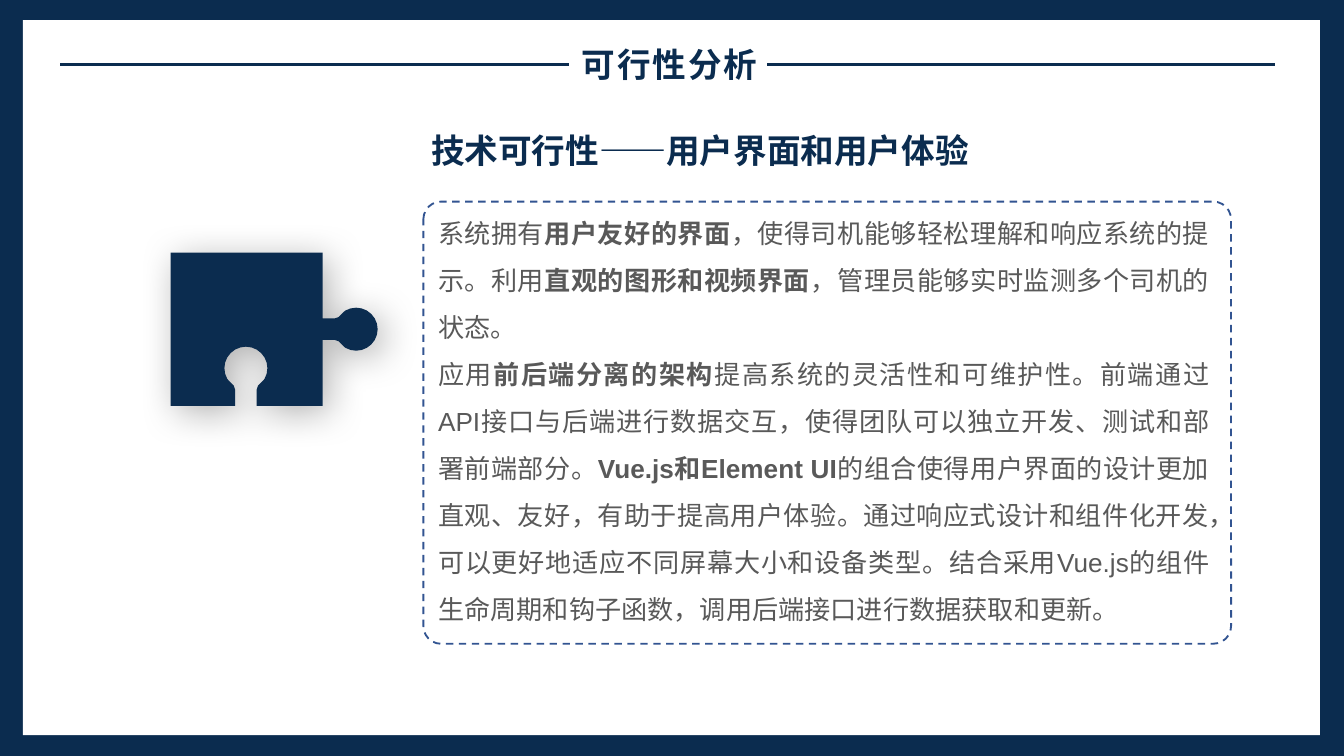
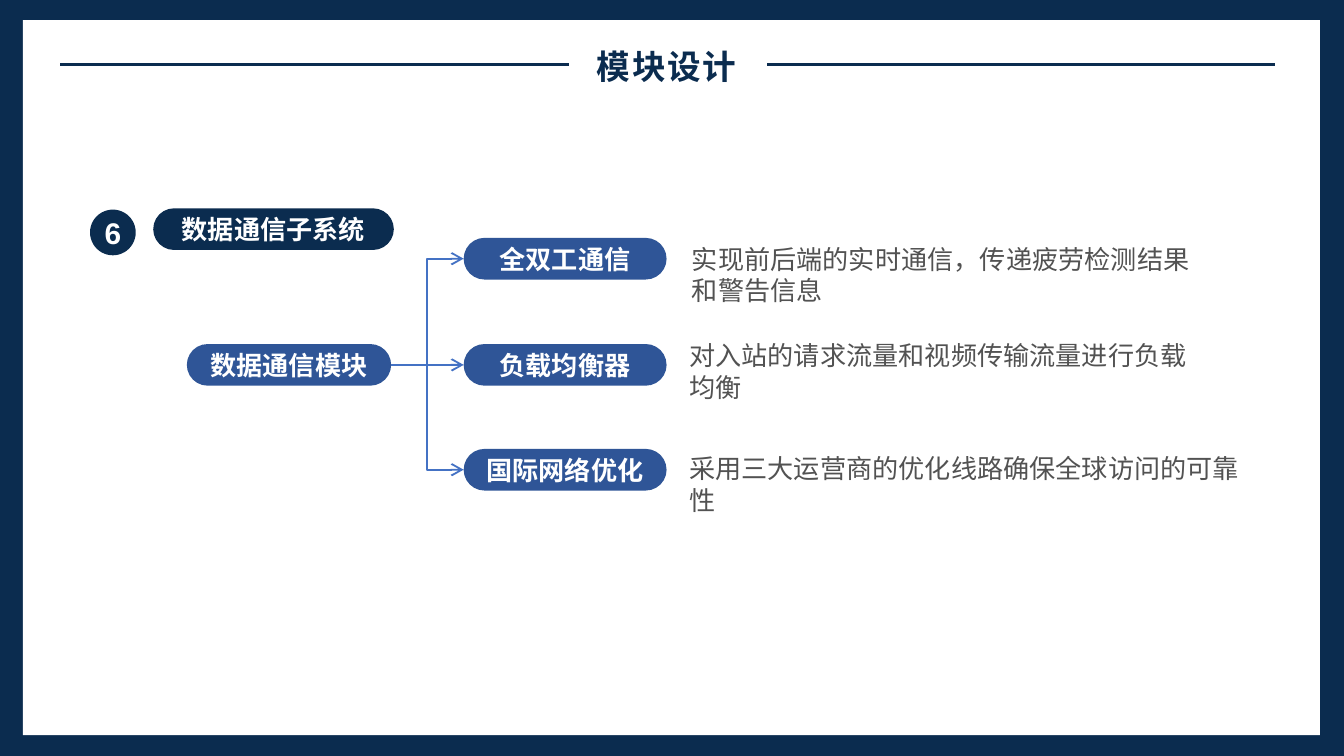
"""Build two slides: technical feasibility and the data communication module."""
from math import cos, pi, sin

from lxml import etree
from pptx import Presentation
from pptx.dml.color import RGBColor
from pptx.enum.dml import MSO_LINE
from pptx.enum.lang import MSO_LANGUAGE_ID
from pptx.enum.shapes import MSO_CONNECTOR, MSO_SHAPE
from pptx.enum.text import MSO_ANCHOR, MSO_AUTO_SIZE, PP_ALIGN
from pptx.oxml.ns import qn
from pptx.util import Inches, Pt

NAVY, BLUE, ARROW_BLUE, DASH_BLUE = "0B2C4F", "2F5597", "4472C4", "325491"
WHITE, BODY_GRAY, NOTE_GRAY = "FFFFFF", "595959", "525252"
LATIN_FONT, CHINESE_FONT = "Arial", "Noto Sans CJK SC"
RECTANGLE, ROUNDED, OVAL = MSO_SHAPE.RECTANGLE, MSO_SHAPE.ROUNDED_RECTANGLE, MSO_SHAPE.OVAL
STRAIGHT, ELBOW = MSO_CONNECTOR.STRAIGHT, MSO_CONNECTOR.ELBOW
LEFT, CENTER, JUSTIFY = PP_ALIGN.LEFT, PP_ALIGN.CENTER, PP_ALIGN.JUSTIFY
TOP, MIDDLE = MSO_ANCHOR.TOP, MSO_ANCHOR.MIDDLE
NO_FIT, FIT_SHAPE = MSO_AUTO_SIZE.NONE, MSO_AUTO_SIZE.SHAPE_TO_FIT_TEXT
DASH, CHINESE = MSO_LINE.DASH, MSO_LANGUAGE_ID.SIMPLIFIED_CHINESE
CONTENT_LAYOUT, TITLE_LAYOUT = 1, 5
LEFT_SITE, RIGHT_SITE = 1, 3

SLIDE_WIDTH = 10
SLIDE_HEIGHT = SLIDE_WIDTH * 9 / 16
FRAME = [((-0.01, 0, 10.01, SLIDE_HEIGHT), NAVY), ((0.17, 0.15, 9.65, 5.32), WHITE)]
TITLE_RULES = [(0.45, 4.23), (5.71, 9.49)]
RULE_TOP = 0.48

FEASIBILITY = {
    "title": ("可行性分析", (4.23, 0.28, 1.52, 0.4)),
    "heading": "技术可行性——用户界面和用户体验",
    "body": [
        [
            ("系统拥有", False),
            ("用户友好的界面", True),
            ("，使得司机能够轻松理解和响应系统的提示。利用", False),
            ("直观的图形和视频界面", True),
            ("，管理员能够实时监测多个司机的状态。", False),
        ],
        [
            ("应用", False),
            ("前后端分离的架构", True),
            ("提高系统的灵活性和可维护性。前端通过API接口与后端进行数据交互，"
             "使得团队可以独立开发、测试和部署前端部分。", False),
            ("Vue.js和Element UI", True),
            ("的组合使得用户界面的设计更加直观、友好，有助于提高用户体验。"
             "通过响应式设计和组件化开发，可以更好地适应不同屏幕大小和设备类型。"
             "结合采用Vue.js的组件生命周期和钩子函数，调用后端接口进行数据获取和更新。", False),
        ],
    ],
}
MODULES = {
    "title": ("模块设计", (4.34, 0.29, 1.25, 0.4)),
    "number": "6",
    "system": "数据通信子系统",
    "module": "数据通信模块",
    "branches": [
        ("全双工通信", 1.77, "实现前后端的实时通信，传递疲劳检测结果和警告信息", (5.05, 1.76, 3.92, 0.57)),
        ("负载均衡器", 2.56, "对入站的请求流量和视频传输流量进行负载均衡", (5.03, 2.48, 3.92, 0.57)),
        ("国际网络优化", 3.34, "采用三大运营商的优化线路确保全球访问的可靠性", (5.03, 3.32, 4.32, 0.57)),
    ],
}


def rgb(value):
    """Turn a hex string into a colour."""
    return RGBColor.from_string(value)


def inches(values):
    """Turn a sequence of numbers into lengths."""
    return [Inches(value) for value in values]


def place(shape, box):
    """Move and size a shape."""
    shape.left, shape.top, shape.width, shape.height = inches(box)


def write_text(shape, paragraphs, size=14, color=NAVY, bold=False, font=LATIN_FONT, align=LEFT,
               anchor=TOP, wrap=True, fit=NO_FIT, line_spacing=None, tracking=None, margin=None):
    """Fill a shape with a string or with paragraphs made of (text, bold) runs."""
    if isinstance(paragraphs, str):
        paragraphs = [[(paragraphs, bold)]]
    frame = shape.text_frame
    frame.word_wrap, frame.auto_size, frame.vertical_anchor = wrap, fit, anchor
    if margin is not None:
        frame.margin_left = frame.margin_right = frame.margin_top = frame.margin_bottom = Inches(margin)
    for index, runs in enumerate(paragraphs):
        paragraph = frame.add_paragraph() if index else frame.paragraphs[0]
        paragraph.alignment = align
        paragraph.space_before = Pt(0)
        if line_spacing:
            paragraph.line_spacing = line_spacing
        for text, is_bold in runs:
            run = paragraph.add_run()
            run.text = text
            run.font.name, run.font.size, run.font.bold = font, Pt(size), is_bold
            run.font.color.rgb = rgb(color)
            run.font.language_id = CHINESE
            if tracking:
                run.font._element.set("spc", str(tracking * 100))


def add_box(slide, kind, box, fill=None, text=None, radius=None, **text_format):
    """Add a preset shape without outline or shadow."""
    shape = slide.shapes.add_shape(kind, *inches(box))
    shape.shadow.inherit = False
    shape.line.fill.background()
    if fill:
        shape.fill.solid()
        shape.fill.fore_color.rgb = rgb(fill)
    else:
        shape.fill.background()
    if radius is not None:
        shape.adjustments[0] = radius
    if text:
        write_text(shape, text, color=WHITE, bold=True, align=CENTER, anchor=MIDDLE, **text_format)
    return shape


def add_text(slide, box, text, **text_format):
    """Add a text box."""
    shape = slide.shapes.add_textbox(*inches(box))
    write_text(shape, text, **text_format)


def add_line(slide, kind, ends, color, width, arrow=False):
    """Add a connector without shadow, with an optional arrowhead at its end."""
    connector = slide.shapes.add_connector(kind, *inches(ends))
    connector.line.color.rgb = rgb(color)
    connector.line.width = Pt(width)
    if arrow:
        etree.SubElement(connector.line._get_or_add_ln(), qn("a:tailEnd"), type="arrow")
    etree.SubElement(connector._element.spPr, qn("a:effectLst"))
    return connector


def add_frame(presentation, slide):
    """Draw the navy frame and hand it to the slide master."""
    master_tree = presentation.slide_master.shapes._spTree
    for index, (box, color) in enumerate(FRAME):
        master_tree.insert(2 + index, add_box(slide, RECTANGLE, box, color)._element)


def add_title(slide, title):
    """Fill the title placeholder and draw the rule on either side."""
    text, box = title
    place(slide.shapes.title, box)
    write_text(slide.shapes.title, text, size=18, bold=True, wrap=False, fit=FIT_SHAPE, tracking=1)
    for start, end in TITLE_RULES:
        add_line(slide, STRAIGHT, (start, RULE_TOP, end, RULE_TOP), NAVY, 2)


def knob_outline(stem):
    """Return (depth, across) points of a puzzle knob on a stem."""
    neck = [(0, 0.08), (stem, 0.08), (stem + 0.03, 0.09), (stem + 0.07, 0.13)]
    angles = [pi * step / 12 for step in range(-8, 9)]
    head = [(stem + 0.16 + 0.16 * cos(angle), 0.16 * sin(angle)) for angle in angles]
    return [(depth, -across) for depth, across in neck] + head + neck[::-1]


def add_puzzle_piece(slide):
    """Draw a square piece with a tab on the right and a notch below."""
    left, top, right, bottom = 1.27, 1.88, 2.4, 3.02
    tab = [(right + depth, 2.45 + across) for depth, across in knob_outline(0.09)]
    notch = [(1.83 - across, bottom - depth) for depth, across in knob_outline(0.12)]
    points = [(left, top), (right, top), *tab, (right, bottom), *notch, (left, bottom)]
    start, *others = [inches(point) for point in points]
    builder = slide.shapes.build_freeform(*start)
    builder.add_line_segments(others)
    piece = builder.convert_to_shape()
    piece.fill.solid()
    piece.fill.fore_color.rgb = rgb(NAVY)
    piece.line.fill.background()
    effects = etree.SubElement(piece._element.spPr, qn("a:effectLst"))
    shadow = etree.SubElement(effects, qn("a:outerShdw"), blurRad=str(Pt(20)), dist=str(Pt(5)),
                              dir=str(45 * 60000), algn="tl", rotWithShape="0")
    black = etree.SubElement(shadow, qn("a:srgbClr"), val="000000")
    etree.SubElement(black, qn("a:alpha"), val="30000")


def build_feasibility(slide):
    """Lay out the feasibility slide."""
    add_title(slide, FEASIBILITY["title"])
    add_text(slide, (3.11, 0.92, 4.3, 0.41), FEASIBILITY["heading"], size=18, bold=True)
    add_puzzle_piece(slide)
    border = add_box(slide, ROUNDED, (3.15, 1.5, 6.01, 3.29), radius=0.04)
    border.line.color.rgb = rgb(DASH_BLUE)
    border.line.width = Pt(1)
    border.line.dash_style = DASH
    body = slide.placeholders[1]
    place(body, (3.26, 1.5, 5.74, 3.25))
    write_text(body, FEASIBILITY["body"], color=BODY_GRAY, align=JUSTIFY, line_spacing=1.5, margin=0)
    for paragraph in body.text_frame.paragraphs:
        properties = paragraph._p.get_or_add_pPr()
        properties.set("marL", "0")
        properties.set("indent", "0")
        etree.SubElement(properties, qn("a:buNone"))


def build_modules(slide):
    """Lay out the module tree with its descriptions."""
    add_title(slide, MODULES["title"])
    add_box(slide, OVAL, (0.67, 1.56, 0.34, 0.34), NAVY, MODULES["number"], size=16, wrap=False)
    add_box(slide, ROUNDED, (1.14, 1.55, 1.79, 0.31), NAVY, MODULES["system"], radius=0.5)
    module = add_box(slide, ROUNDED, (1.39, 2.56, 1.52, 0.31), BLUE, MODULES["module"], radius=0.5)
    for name, top, description, box in MODULES["branches"]:
        branch = add_box(slide, ROUNDED, (3.45, top, 1.51, 0.31), BLUE, name, radius=0.5)
        kind = STRAIGHT if branch.top == module.top else ELBOW
        arrow = add_line(slide, kind, (0, 0, 0, 0), ARROW_BLUE, 1, arrow=True)
        arrow.begin_connect(module, RIGHT_SITE)
        arrow.end_connect(branch, LEFT_SITE)
        add_text(slide, box, description, color=NOTE_GRAY, font=CHINESE_FONT, fit=FIT_SHAPE)


def main():
    """Build and save the presentation."""
    presentation = Presentation()
    presentation.slide_width, presentation.slide_height = inches((SLIDE_WIDTH, SLIDE_HEIGHT))
    layouts = presentation.slide_layouts
    feasibility = presentation.slides.add_slide(layouts[CONTENT_LAYOUT])
    add_frame(presentation, feasibility)
    build_feasibility(feasibility)
    build_modules(presentation.slides.add_slide(layouts[TITLE_LAYOUT]))
    presentation.save("out.pptx")


if __name__ == "__main__":
    main()
